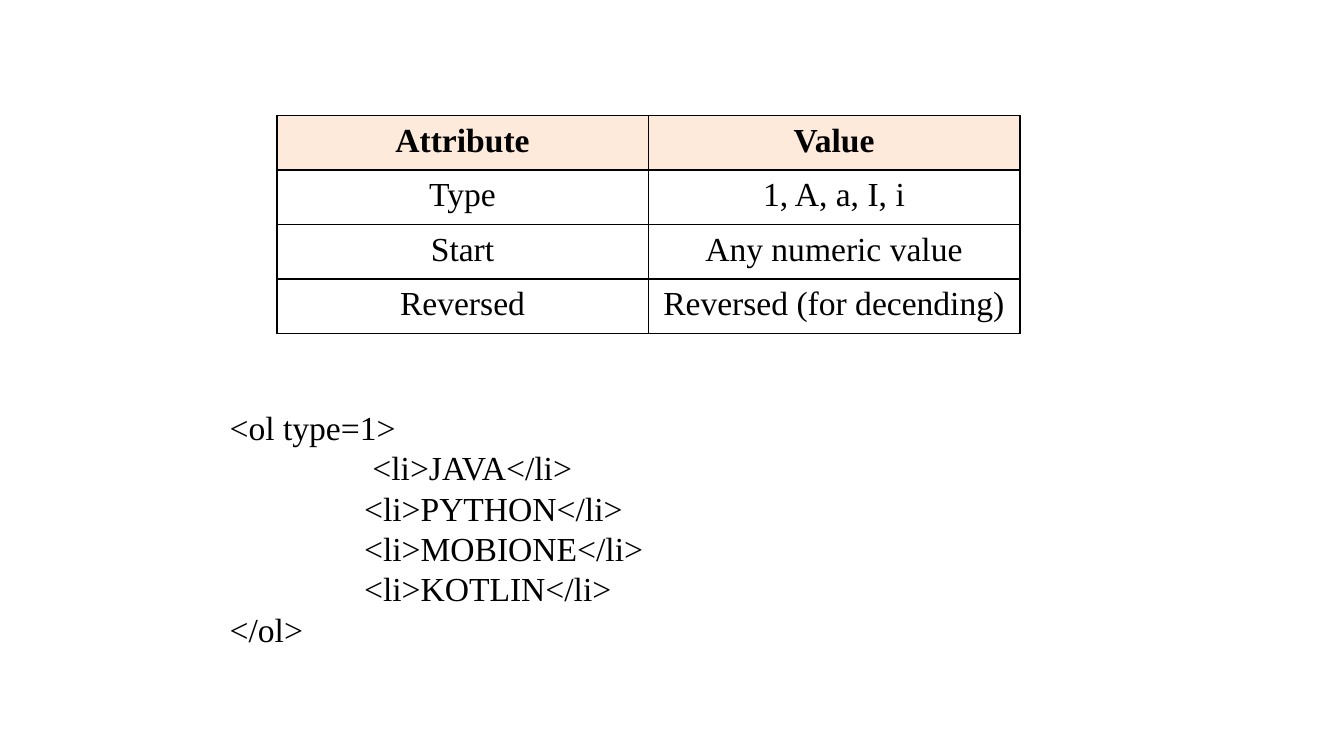
from typing import NamedTuple

from lxml import etree
from pptx import Presentation
from pptx.dml.color import RGBColor
from pptx.enum import text as t
from pptx.oxml import ns
from pptx.util import Pt

BLACK = RGBColor(0x00, 0x00, 0x00)
PEACH = RGBColor(0xFD, 0xEA, 0xDA)
FONT_NAME = "Times New Roman"
FONT_SIZE = Pt(18)
COLUMN_WIDTH = Pt(199)
ROW_HEIGHT = Pt(29.2)
LIST_INDENT = Pt(72)


class Attribute(NamedTuple):
    name: str
    value: str


class CodeLine(NamedTuple):
    text: str
    indented: bool = False


ATTRIBUTES = [
    Attribute("Attribute", "Value"),
    Attribute("Type", "1, A, a, I, i"),
    Attribute("Start", "Any numeric value"),
    Attribute("Reversed", "Reversed (for decending)"),
]

CODE_LINES = [
    CodeLine("<ol type=1>"),
    CodeLine(" <li>JAVA</li>", True),
    CodeLine("<li>PYTHON</li>", True),
    CodeLine("<li>MOBIONE</li>", True),
    CodeLine("<li>KOTLIN</li>", True),
    CodeLine("</ol>"),
]


def style_paragraph(paragraph, bold: bool = False) -> None:
    font = paragraph.font
    font.name = FONT_NAME
    font.size = FONT_SIZE
    font.bold = bold
    font.color.rgb = BLACK


def add_borders(cell) -> None:
    properties = cell._tc.get_or_add_tcPr()
    for index, side in enumerate(("a:lnL", "a:lnR", "a:lnT", "a:lnB")):
        line = etree.Element(ns.qn(side), w=str(Pt(1)))
        fill = etree.SubElement(line, ns.qn("a:solidFill"))
        etree.SubElement(fill, ns.qn("a:srgbClr"), val=str(BLACK))
        properties.insert(index, line)


def fill_cell(cell, text: str, header: bool) -> None:
    cell.text = text
    paragraph = cell.text_frame.paragraphs[0]
    paragraph.alignment = t.PP_ALIGN.CENTER
    style_paragraph(paragraph, bold=header)
    if header:
        cell.fill.solid()
        cell.fill.fore_color.rgb = PEACH
    else:
        cell.fill.background()
    add_borders(cell)


def add_attribute_table(page, attributes: list[Attribute]) -> None:
    rows, columns = len(attributes), len(Attribute._fields)
    table = page.shapes.add_table(
        rows, columns, Pt(148.3), Pt(61.9), COLUMN_WIDTH * columns, ROW_HEIGHT * rows
    ).table
    table.first_row = False
    table.horz_banding = False
    for column in table.columns:
        column.width = COLUMN_WIDTH
    for row_index, attribute in enumerate(attributes):
        table.rows[row_index].height = ROW_HEIGHT
        for column_index, text in enumerate(attribute):
            fill_cell(table.cell(row_index, column_index), text, row_index == 0)


def add_code(page, lines: list[CodeLine]) -> None:
    box = page.shapes.add_textbox(Pt(116), Pt(214.5), Pt(360), Pt(138))
    frame = box.text_frame
    frame.word_wrap = True
    frame.auto_size = t.MSO_AUTO_SIZE.SHAPE_TO_FIT_TEXT
    for index, line in enumerate(lines):
        paragraph = frame.add_paragraph() if index else frame.paragraphs[0]
        paragraph.text = line.text
        style_paragraph(paragraph)
        if line.indented:
            paragraph._p.get_or_add_pPr().set("marL", str(LIST_INDENT))


def main() -> None:
    deck = Presentation()
    deck.slide_width, deck.slide_height = Pt(720), Pt(405)
    page = deck.slides.add_slide(deck.slide_layouts[6])
    add_attribute_table(page, ATTRIBUTES)
    add_code(page, CODE_LINES)
    deck.save("out.pptx")


if __name__ == "__main__":
    main()
